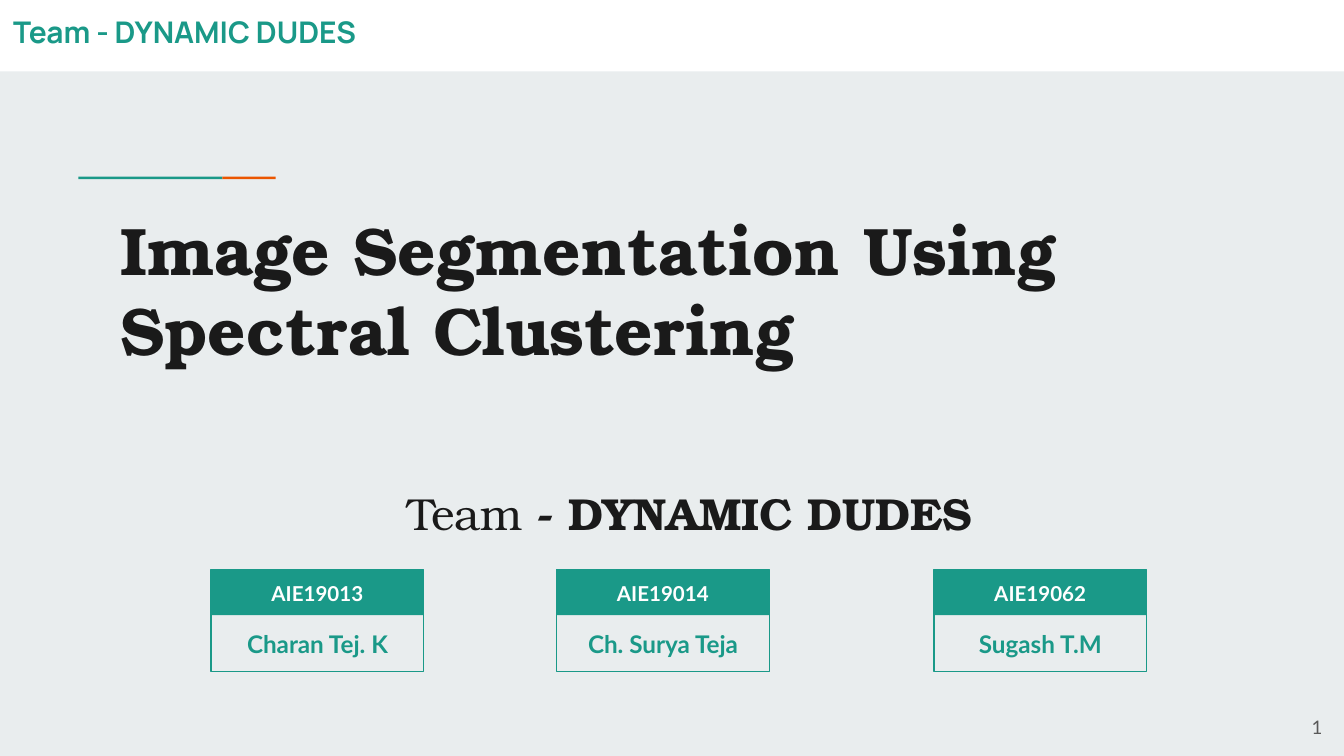
import pptx
import pptx.util
import pptx.dml.color
import pptx.enum.shapes
import pptx.enum.text

Cm = pptx.util.Cm
RGBColor = pptx.dml.color.RGBColor
ALIGN = pptx.enum.text.PP_ALIGN
ANCHOR = pptx.enum.text.MSO_ANCHOR

TEAL = RGBColor(0x1A, 0x99, 0x88)
ORANGE = RGBColor(0xEB, 0x56, 0x00)
WHITE = RGBColor(0xFF, 0xFF, 0xFF)
INK = RGBColor(0x1A, 0x1A, 0x1A)
GREY = RGBColor(0x59, 0x59, 0x59)
PALE = RGBColor(0xE9, 0xED, 0xEE)

SERIF, SANS, DISPLAY = "TeX Gyre Bonum", "Lato", "Manrope"
SLIDE_WIDTH, SLIDE_HEIGHT = Cm(25.4), Cm(14.29)
PADDING = Cm(0.25)

MEMBERS = [
    (Cm(3.99), "AIE19013", "Charan Tej. K"),
    (Cm(10.52), "AIE19014", "Ch. Surya Teja"),
    (Cm(17.65), "AIE19062", "Sugash T.M"),
]


def add_rect(slide, box, fill=None, outline=None):
    rect = slide.shapes.add_shape(pptx.enum.shapes.MSO_SHAPE.RECTANGLE, *box)
    rect.shadow.inherit = False
    if fill is None:
        rect.fill.background()
    else:
        rect.fill.solid()
        rect.fill.fore_color.rgb = fill
    if outline is None:
        rect.line.fill.background()
    else:
        rect.line.color.rgb = outline
        rect.line.width = pptx.util.Pt(0.75)


def add_text(slide, box, runs, font, size, color,
             align=ALIGN.LEFT, anchor=ANCHOR.TOP):
    """Add a one-paragraph text box from (text, bold) runs; return the box."""
    label = slide.shapes.add_textbox(*box)
    frame = label.text_frame
    frame.word_wrap = True
    frame.vertical_anchor = anchor
    frame.margin_left = frame.margin_right = PADDING
    frame.margin_top = frame.margin_bottom = PADDING
    paragraph = frame.paragraphs[0]
    paragraph.alignment = align
    for text, bold in runs:
        run = paragraph.add_run()
        run.text = text
        run.font.name = font
        run.font.size = pptx.util.Pt(size)
        run.font.bold = bold
        run.font.color.rgb = color
    return label


def add_header(slide, left, top, width, height):
    add_rect(slide, (left, top, width, height), WHITE)


def add_team_label(slide, left, top, width, height):
    label = add_text(slide, (left, top, width, height),
                     [("Team - DYNAMIC DUDES", True)], DISPLAY, 16, TEAL)
    frame = label.text_frame
    frame.word_wrap = False
    frame.auto_size = pptx.enum.text.MSO_AUTO_SIZE.SHAPE_TO_FIT_TEXT
    frame.margin_top = frame.margin_bottom = Cm(0.13)


def add_accent_rule(slide, left, top, width, height):
    teal_width = int(width * 0.73)
    add_rect(slide, (left, top, teal_width, height), TEAL)
    add_rect(slide, (left + teal_width, top, width - teal_width, height), ORANGE)


def add_title(slide, left, top, width, height):
    add_text(slide, (left, top, width, height),
             [("Image Segmentation Using Spectral Clustering", True)],
             SERIF, 36, INK)


def add_subtitle(slide, left, top, width, height):
    label = add_text(slide, (left, top, width, height),
                     [(" Team ", False), ("- DYNAMIC DUDES", True)],
                     SERIF, 24, INK, ALIGN.CENTER)
    paragraph = label.text_frame.paragraphs[0]
    paragraph.line_spacing = 0.9
    properties = paragraph._p.get_or_add_pPr()
    properties.set("marL", str(Cm(1.27)))
    properties.set("indent", str(Cm(-0.86)))


def add_member_card(slide, left, top, width, height, roll_number, name):
    add_rect(slide, (left, top, width, height), outline=TEAL)
    add_rect(slide, (left, top, width, Cm(0.86)), TEAL)
    for text, offset, size, color in [
        (roll_number, Cm(0.18), 11, WHITE),
        (name, Cm(1.14), 13, TEAL),
    ]:
        add_text(slide, (left, top + offset, width, Cm(0.53)), [(text, True)],
                 SANS, size, color, ALIGN.CENTER, ANCHOR.MIDDLE)


def add_page_number(slide, left, top, width, height):
    add_text(slide, (left, top, width, height), [("1", False)],
             SANS, 10, GREY, ALIGN.RIGHT, ANCHOR.MIDDLE)


def main():
    presentation = pptx.Presentation()
    presentation.slide_width = SLIDE_WIDTH
    presentation.slide_height = SLIDE_HEIGHT
    slide = presentation.slides.add_slide(presentation.slide_layouts[6])
    slide.background.fill.solid()
    slide.background.fill.fore_color.rgb = PALE

    add_header(slide, 0, 0, SLIDE_WIDTH, Cm(1.35))
    add_accent_rule(slide, Cm(1.48), Cm(3.34), Cm(3.73), Cm(0.05))
    add_title(slide, Cm(2.03), Cm(3.68), Cm(21.36), Cm(4.62))
    add_subtitle(slide, Cm(3.99), Cm(9.04), Cm(17.42), Cm(1.42))
    for left, roll_number, name in MEMBERS:
        add_member_card(slide, left, Cm(10.77), Cm(4.02), Cm(1.93),
                        roll_number, name)
    add_page_number(slide, Cm(23.72), Cm(13.19), Cm(1.52), Cm(1.1))
    add_team_label(slide, 0, Cm(0.13), Cm(7.32), Cm(0.94))
    presentation.save("out.pptx")


if __name__ == "__main__":
    main()
